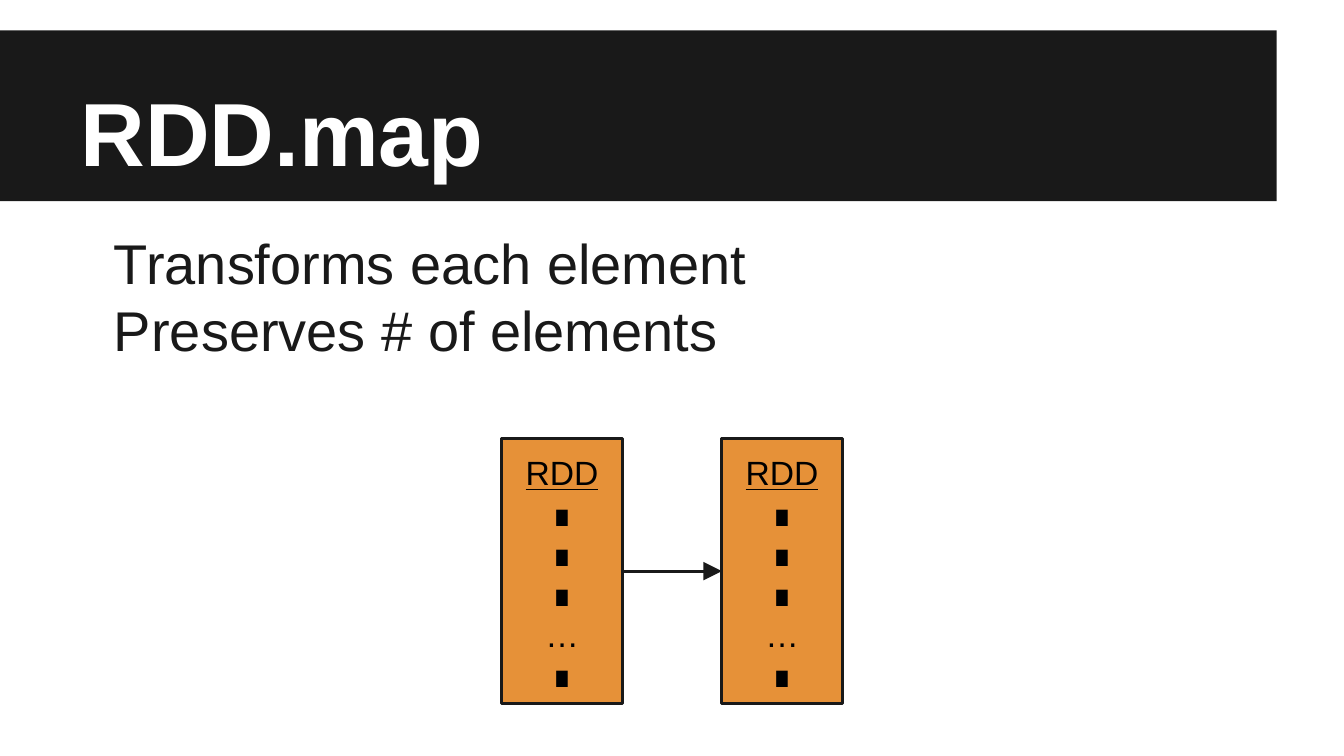
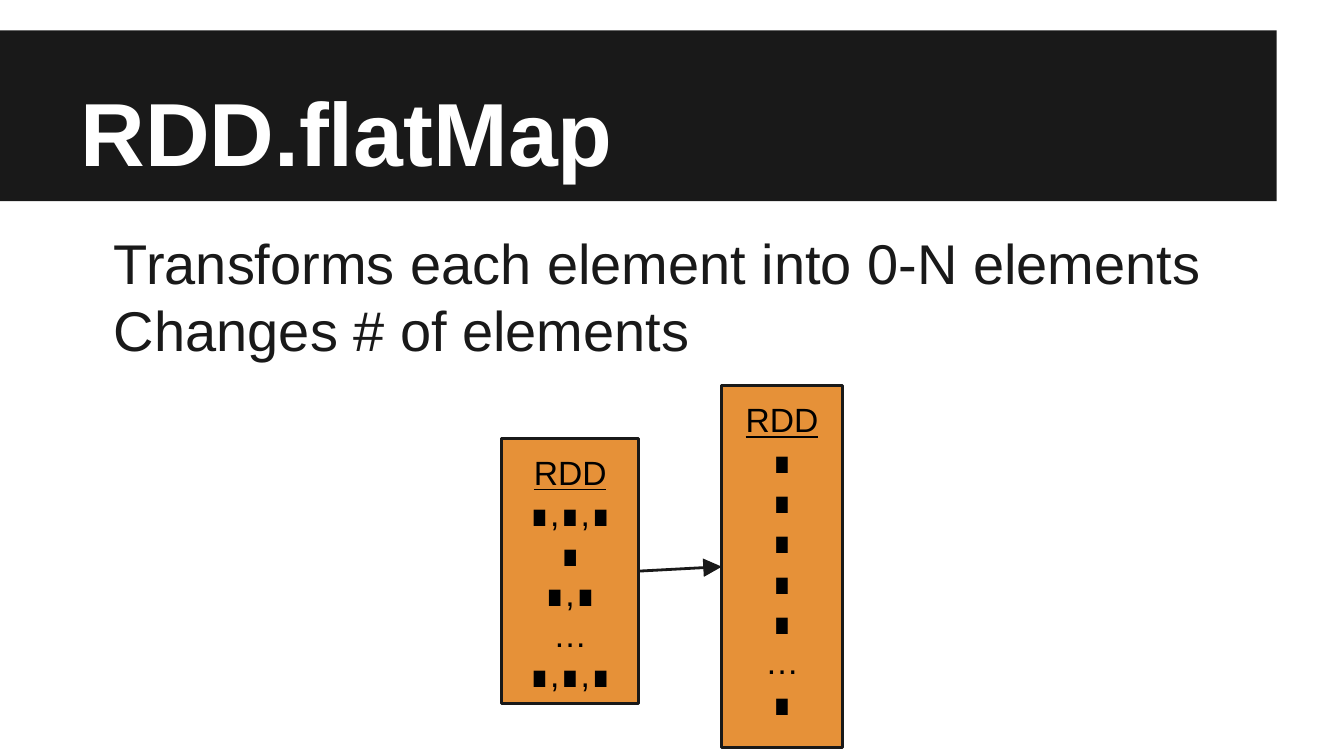
from pptx import Presentation
from pptx.dml.color import RGBColor
from pptx.enum.shapes import MSO_CONNECTOR as CXN, MSO_SHAPE as SHAPE
from pptx.enum.text import MSO_ANCHOR as ANCHOR, PP_ALIGN as ALIGN
from pptx.oxml.ns import qn
from pptx.util import Inches, Pt
from lxml.etree import SubElement

W = 10
H = W * 9 / 16
FONT = "Arial"
DARK, WHITE, BLACK, ORANGE = "191919", "FFFFFF", "000000", "E69138"
RIGHT, LEFT = 3, 1

BAND = (0, 4.02, 95, 22.6)
TITLE = (5, 4.02, 90, 22.22)
BODY = (5, 28.44, 90, 67.4)
DIAGRAM = (37.33, 51.04, 25.36, 47.86)
ROW, ROW_TRIM = 13.38, 7.06

SLIDES = [
    dict(title="RDD.map",
         body=["Transforms each element", "Preserves # of elements"],
         source=dict(x=0, y=14.6, w=35.43, items=["∎", "∎", "∎", "…", "∎"]),
         target=dict(x=64.57, y=14.6, w=35.43, items=["∎", "∎", "∎", "…", "∎"])),
    dict(title="RDD.flatMap",
         body=["Transforms each element into 0-N elements", "Changes # of elements"],
         source=dict(x=0, y=14.6, w=40.16, items=["∎,∎,∎", "∎", "∎,∎", "…", "∎,∎,∎"]),
         target=dict(x=64.57, y=0, w=35.43,
                     items=["∎", "∎", "∎", "∎", "∎", "…", "∎"])),
]


def color(hex_text):
    return RGBColor.from_string(hex_text)


def emu(box):
    return [Inches(v / 100 * side) for v, side in zip(box, (W, H, W, H))]


def within(outer, x, y, w, h):
    ox, oy, ow, oh = outer
    return (ox + x * ow / 100, oy + y * oh / 100, w * ow / 100, h * oh / 100)


def write(tf, lines, size, fill, bold=False, align=ALIGN.LEFT, anchor=ANCHOR.TOP,
          indent=0, underline_first=False):
    tf.word_wrap = True
    tf.vertical_anchor = anchor
    tf.margin_left = tf.margin_right = tf.margin_top = tf.margin_bottom = Inches(0.1)
    for i, line in enumerate(lines):
        p = tf.paragraphs[0] if i == 0 else tf.add_paragraph()
        p.alignment = align
        if indent:
            pr = p._p.get_or_add_pPr()
            pr.set("marL", str(Inches(indent)))
            pr.set("indent", str(-Inches(indent / 2)))
        r = p.add_run()
        r.text = line
        f = r.font
        f.name, f.size, f.bold = FONT, Pt(size), bold
        f.underline = underline_first and i == 0
        f.color.rgb = color(fill)


def rect(s, box, fill, line=None):
    sp = s.shapes.add_shape(SHAPE.RECTANGLE, *emu(box))
    sp.shadow.inherit = False
    sp.fill.solid()
    sp.fill.fore_color.rgb = color(fill)
    if line:
        sp.line.color.rgb = color(line)
        sp.line.width = Pt(1.5)
    else:
        sp.line.fill.background()
    return sp


def header(s, title):
    rect(s, BAND, DARK)
    tb = s.shapes.add_textbox(*emu(TITLE))
    write(tb.text_frame, [title], 48, WHITE, bold=True, anchor=ANCHOR.BOTTOM)


def body(s, lines):
    tb = s.shapes.add_textbox(*emu(BODY))
    write(tb.text_frame, lines, 30, DARK, indent=0.5)


def rdd(s, box, x, y, w, items):
    lines = ["RDD", *items]
    sp = rect(s, within(box, x, y, w, ROW * len(lines) - ROW_TRIM), ORANGE, DARK)
    write(sp.text_frame, lines, 18, BLACK, align=ALIGN.CENTER, underline_first=True)
    return sp


def arrow(s, start, end):
    c = s.shapes.add_connector(CXN.STRAIGHT, 0, 0, 0, 0)
    c.begin_connect(start, RIGHT)
    c.end_connect(end, LEFT)
    c.line.color.rgb = color(DARK)
    c.line.width = Pt(1.5)
    SubElement(c.line._get_or_add_ln(), qn("a:tailEnd"), type="triangle", w="lg", len="lg")
    SubElement(c._element.spPr, qn("a:effectLst"))


def diagram(s, box, source, target):
    arrow(s, rdd(s, box, **source), rdd(s, box, **target))


def main():
    prs = Presentation()
    prs.slide_width, prs.slide_height = Inches(W), Inches(H)
    for content in SLIDES:
        s = prs.slides.add_slide(prs.slide_layouts[6])
        header(s, content["title"])
        body(s, content["body"])
        diagram(s, DIAGRAM, content["source"], content["target"])
    prs.save("out.pptx")


if __name__ == "__main__":
    main()
